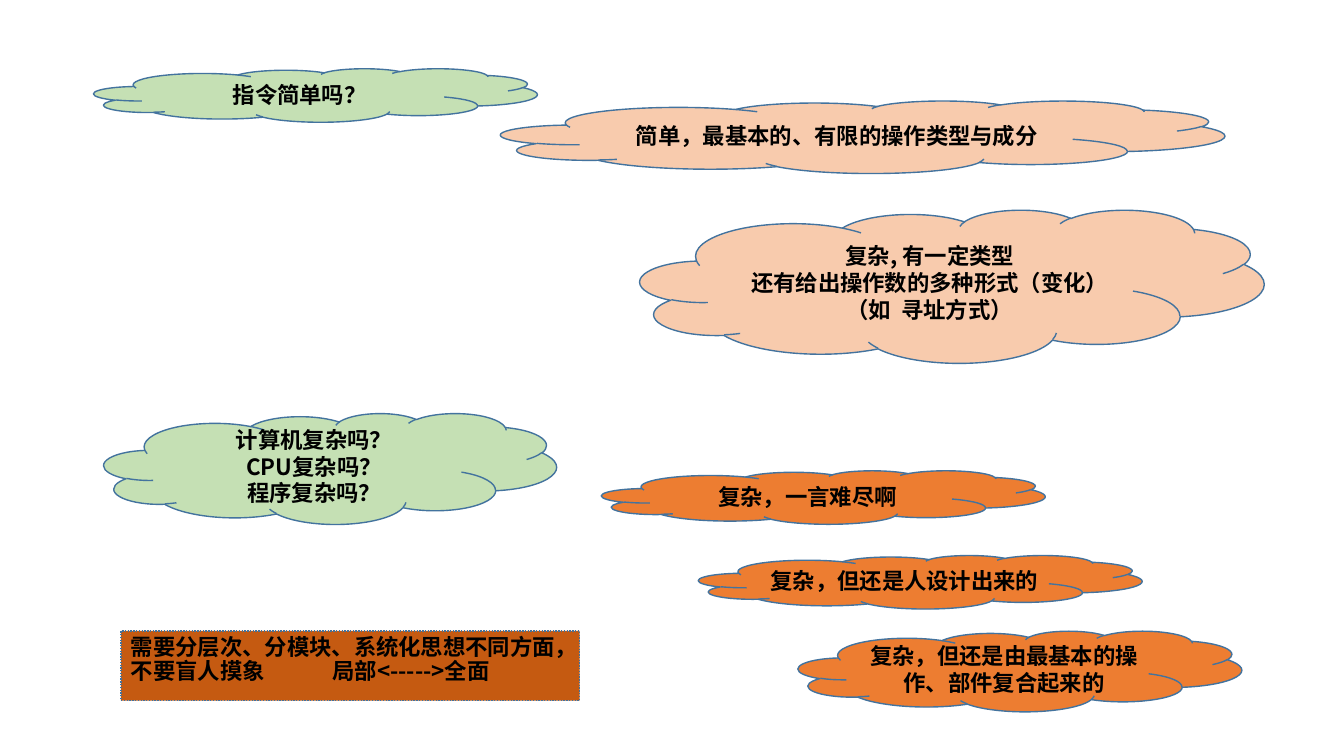
from lxml import etree
from pptx import Presentation
from pptx.dml.color import RGBColor
from pptx.enum.dml import MSO_LINE
from pptx.enum.lang import MSO_LANGUAGE_ID as Language
from pptx.enum.shapes import MSO_SHAPE as Shape
from pptx.enum.text import MSO_ANCHOR as Anchor, PP_ALIGN as Align
from pptx.oxml.ns import qn
from pptx.util import Pt

COLORS = {
    "question": "C5E0B4",
    "answer": "F8CBAD",
    "insight": "ED7D31",
    "summary": "C55A11",
    "outline": "43739E",
    "text": "000000",
}


def color(name):
    return RGBColor.from_string(COLORS[name])


class DialogueSlide:
    font_name = "Noto Sans CJK SC"
    font_size = 16

    def __init__(self, deck):
        self.page = deck.slides.add_slide(deck.slide_layouts[6])

    def outlined(self, kind, left, top, width, height, fill):
        box = self.page.shapes.add_shape(kind, Pt(left), Pt(top), Pt(width), Pt(height))
        box.shadow.inherit = False
        box.fill.solid()
        box.fill.fore_color.rgb = color(fill)
        box.line.color.rgb = color("outline")
        box.line.width = Pt(1)
        box.text_frame.word_wrap = True
        return box

    def add_lines(self, box, lines, align=Align.CENTER, anchor=Anchor.MIDDLE,
                  spacing=None, tab=None):
        frame = box.text_frame
        frame.vertical_anchor = anchor
        for index, line in enumerate(lines):
            para = frame.add_paragraph() if index else frame.paragraphs[0]
            para.alignment = align
            para.line_spacing = spacing
            if tab:
                stops = etree.SubElement(para._p.get_or_add_pPr(), qn("a:tabLst"))
                etree.SubElement(stops, qn("a:tab"), pos=str(Pt(tab)), algn="l")
            span = para.add_run()
            span.text = line
            font = span.font
            font.name = self.font_name
            font.size = Pt(self.font_size)
            font.bold = True
            font.color.rgb = color("text")
            font.language_id = Language.SIMPLIFIED_CHINESE
            latin = font._element.find(qn("a:latin"))
            east_asian = etree.Element(qn("a:ea"), typeface=self.font_name)
            latin.addnext(east_asian)

    def cloud(self, left, top, lines, fill, width=316.8, height=38.2):
        box = self.outlined(Shape.CLOUD, left, top, width, height, fill)
        self.add_lines(box, lines)

    def summary(self, left, top, width, height, lines):
        box = self.outlined(Shape.RECTANGLE, left, top, width, height, "summary")
        box.line.dash_style = MSO_LINE.ROUND_DOT
        self.add_lines(box, lines, align=Align.LEFT, anchor=Anchor.TOP,
                       spacing=0.9, tab=144)


def main():
    deck = Presentation()
    deck.slide_width, deck.slide_height = Pt(960), Pt(540)
    slide = DialogueSlide(deck)

    slide.cloud(67, 49, ["指令简单吗？"], "question")
    slide.cloud(357.8, 72, ["简单，最基本的、有限的操作类型与成分"], "answer",
                width=517, height=51.8)
    slide.cloud(457.2, 149.8,
                ["复杂, 有一定类型", "还有给出操作数的多种形式（变化）", "（如  寻址方式）"],
                "answer", width=445.7, height=109.4)
    slide.cloud(429.8, 336.2, ["复杂，一言难尽啊"], "insight")
    slide.cloud(74.2, 295.2, ["计算机复杂吗？", "CPU复杂吗？", "程序复杂吗？"],
                "question", width=323.3, height=79.2)
    slide.cloud(499, 396.7, ["复杂，但还是人设计出来的"], "insight")
    slide.cloud(570.2, 450.7, ["复杂，但还是由最基本的操作、部件复合起来的"],
                "insight", height=57.6)
    slide.summary(86.4, 450.7, 327.6, 49.7,
                  ["需要分层次、分模块、系统化思想不同方面，",
                   "不要盲人摸象\t局部<----->全面"])

    deck.save("out.pptx")


if __name__ == "__main__":
    main()
